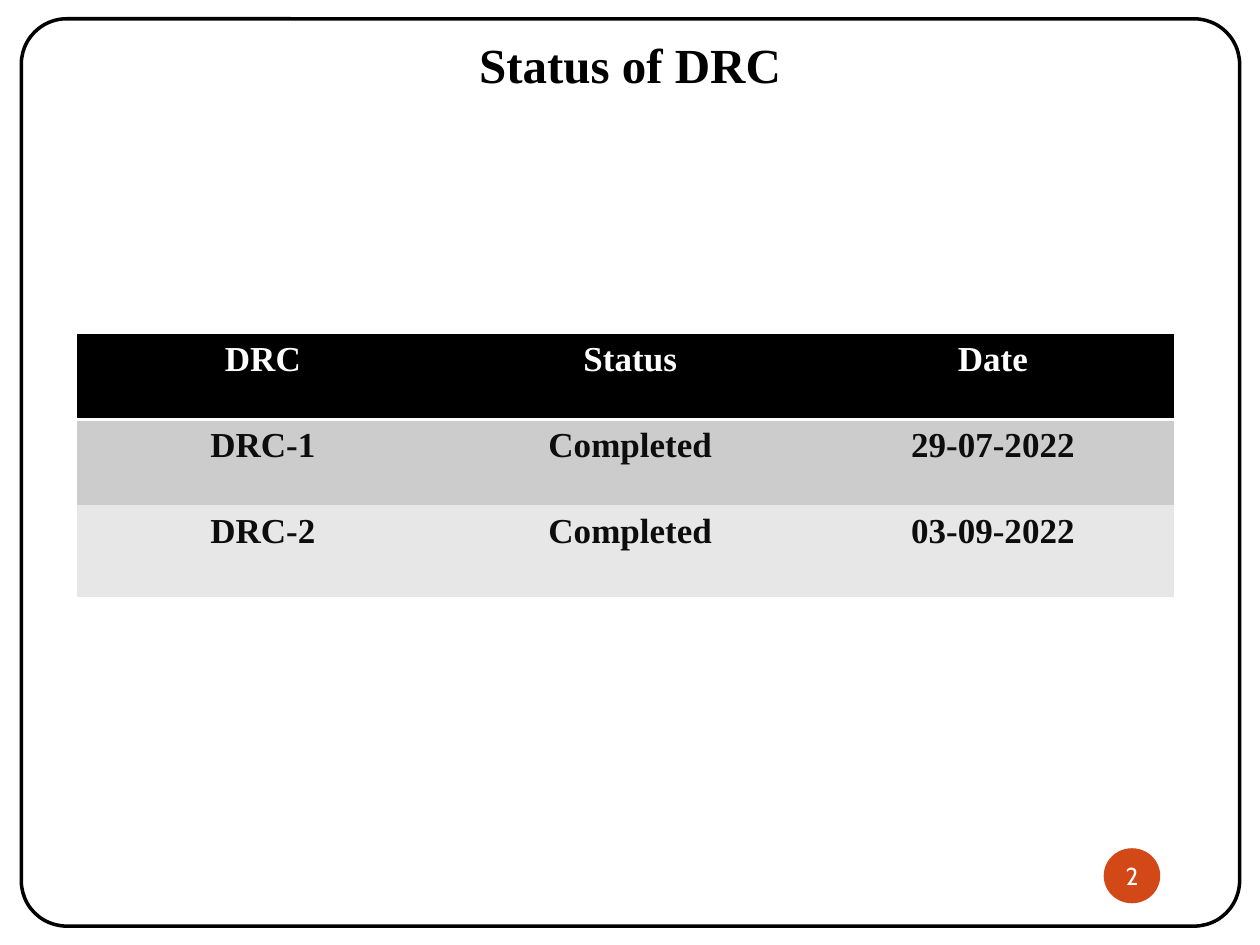
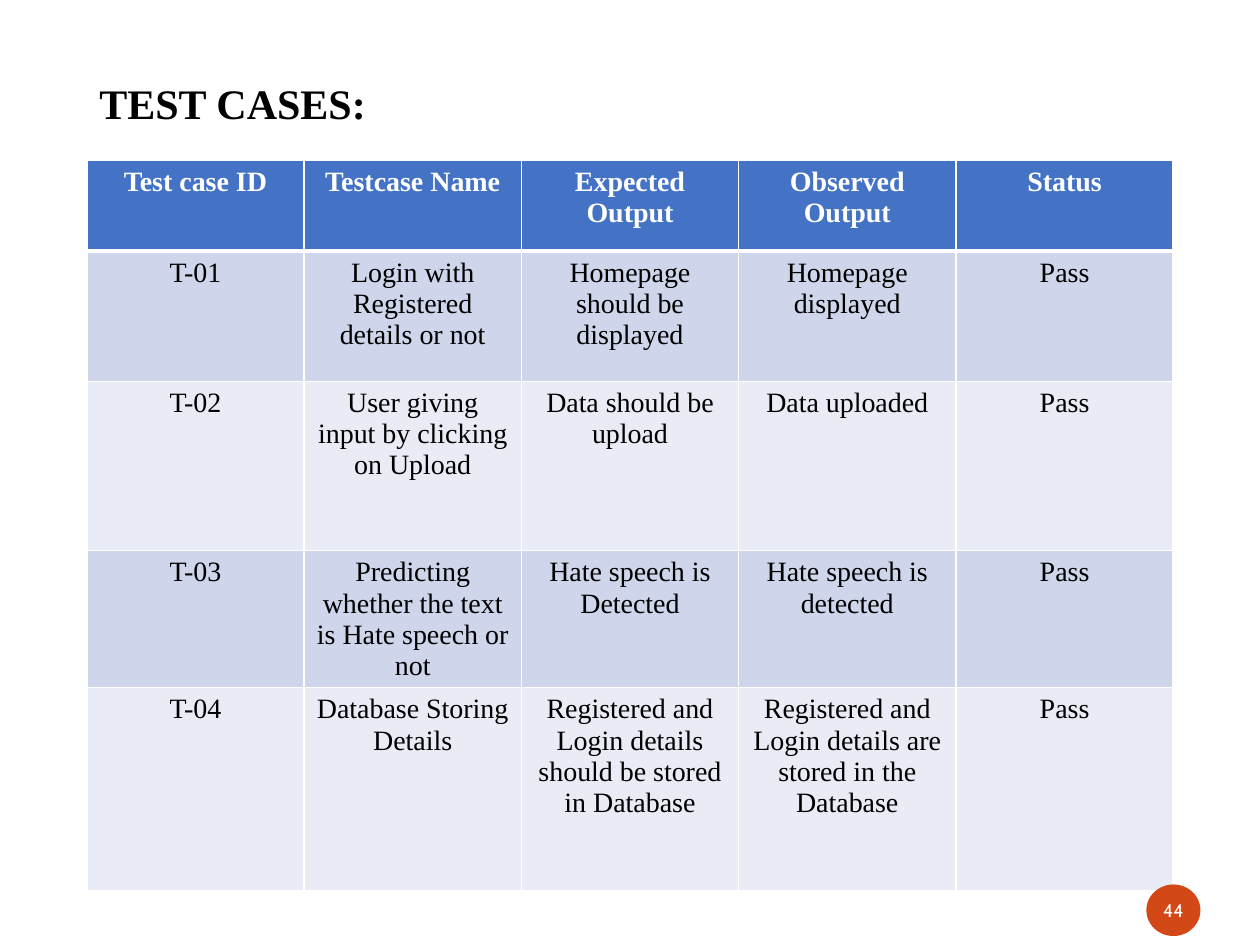
from lxml import etree
from pptx import Presentation
from pptx import util as u
from pptx.dml.color import RGBColor
from pptx.enum import shapes, text
from pptx.oxml.ns import qn

COLORS = {
    "ink": "000000", "soft_ink": "0D0D0D", "white": "FFFFFF", "badge": "D34817",
    "grey_dark": "CCCCCC", "grey_light": "E7E7E7",
    "blue": "4472C4", "blue_dark": "CFD5EA", "blue_light": "E9EBF5",
}
SERIF, SANS = "Times New Roman", "Cabin"
PLAIN_TABLE = "{2D5ABB26-0587-4C30-8999-92F81FD0307C}"
TITLE_ONLY = 5
CENTER, LEFT = text.PP_ALIGN.CENTER, text.PP_ALIGN.LEFT

STATUS_LOOK = {
    "size": 20, "header": "ink", "bands": ("grey_dark", "grey_light"),
    "body": {"bold": True, "color": "soft_ink"},
    "header_lines": {"B": 2}, "body_lines": {},
}
TEST_LOOK = {
    "size": 16, "header": "blue", "bands": ("blue_dark", "blue_light"),
    "body": {"bold": False, "color": "ink"},
    "header_lines": {"L": 1, "R": 1, "T": 1, "B": 3},
    "body_lines": {"L": 1, "R": 1, "B": 1},
}

DRC_ROWS = [
    ["DRC", "Status", "Date"],
    ["DRC-1", "Completed", "29-07-2022"],
    ["DRC-2", "Completed", "03-09-2022"],
]
TEST_ROWS = [
    ["Test case ID", "Testcase Name", "Expected Output", "Observed Output", "Status"],
    ["T-01", "Login with Registered details or not",
     "Homepage\nshould be displayed", "Homepage\ndisplayed", "Pass"],
    ["T-02", "User giving input by clicking on Upload",
     "Data should be upload", "Data uploaded", "Pass"],
    ["T-03", "Predicting whether the text is Hate speech or not",
     "Hate speech is\nDetected", "Hate speech is detected", "Pass"],
    ["T-04", "Database Storing Details",
     "Registered and Login details should be stored in Database",
     "Registered and Login details are stored in the Database", "Pass"],
]


def rgb(name):
    return RGBColor.from_string(COLORS[name])


def place(sp, box):
    for name, value in zip(("left", "top", "width", "height"), box):
        setattr(sp, name, u.Cm(value))


def write(tf, words, size, color, align=CENTER, name=SERIF, bold=False, spacing=None):
    tf.text = words
    for p in tf.paragraphs:
        p.alignment = align
        if spacing:
            p.line_spacing = spacing
        for attr, value in {"size": u.Pt(size), "name": name, "bold": bold}.items():
            setattr(p.font, attr, value)
        p.font.color.rgb = rgb(color)


def add_title(s, box, words, size, align):
    sp = s.shapes.title
    place(sp, box)
    tf = sp.text_frame
    for attr, value in {"vertical_anchor": text.MSO_ANCHOR.MIDDLE, "word_wrap": True,
                        "auto_size": text.MSO_AUTO_SIZE.NONE}.items():
        setattr(tf, attr, value)
    write(tf, words, size, "ink", align, bold=True, spacing=0.9)


def add_shape(s, kind, box):
    sp = s.shapes.add_shape(kind, *map(u.Cm, box))
    sp.shadow.inherit = False
    return sp


def add_frame(s, box):
    """Rounded outline around the whole slide."""
    sp = add_shape(s, shapes.MSO_SHAPE.ROUNDED_RECTANGLE, box)
    sp.adjustments[0] = 0.05
    sp.fill.background()
    sp.line.color.rgb = rgb("ink")
    sp.line.width = u.Pt(2)


def add_badge(s, box, number, size):
    """Round slide number."""
    sp = add_shape(s, shapes.MSO_SHAPE.OVAL, box)
    sp.fill.solid()
    sp.fill.fore_color.rgb = rgb("badge")
    sp.line.fill.background()
    tf = sp.text_frame
    for side in ("left", "top", "right", "bottom"):
        setattr(tf, f"margin_{side}", 0)
    tf.vertical_anchor = text.MSO_ANCHOR.MIDDLE
    tf.word_wrap = False
    write(tf, str(number), size, "white", name=SANS)


def add_borders(cell, lines):
    """Draw white cell borders, given as side: points."""
    pr = cell._tc.get_or_add_tcPr()
    for side, points in lines.items():
        ln = etree.SubElement(pr, qn(f"a:ln{side}"), w=str(u.Pt(points)))
        fill = etree.SubElement(ln, qn("a:solidFill"))
        etree.SubElement(fill, qn("a:srgbClr"), val=COLORS["white"])


def add_table(s, box, rows, widths, heights, look):
    tbl = s.shapes.add_table(len(rows), len(widths), *map(u.Cm, box)).table
    tbl._tbl.tblPr.find(qn("a:tableStyleId")).text = PLAIN_TABLE
    for col, width in zip(tbl.columns, widths):
        col.width = u.Cm(width)
    for i, (row, height) in enumerate(zip(rows, heights)):
        tbl.rows[i].height = u.Cm(height)
        header = i == 0
        fill = look["header"] if header else look["bands"][(i - 1) % 2]
        font = {"bold": True, "color": "white"} if header else look["body"]
        for j, words in enumerate(row):
            cell = tbl.cell(i, j)
            add_borders(cell, look["header_lines" if header else "body_lines"])
            cell.fill.solid()
            cell.fill.fore_color.rgb = rgb(fill)
            write(cell.text_frame, words, look["size"], **font)


def status_slide(s):
    add_title(s, (1.75, 0.5, 21.9, 1.73), "Status of DRC", 28, CENTER)
    heights = (1.73, 1.73, 1.84)
    add_table(s, (1.55, 6.73, 22.12, sum(heights)), DRC_ROWS,
              (7.5, 7.31, 7.31), heights, STATUS_LOOK)
    add_frame(s, (0.43, 0.38, 24.56, 18.29))
    add_badge(s, (22.25, 17.1, 1.14, 1.11), 2, 14)


def test_slide(s):
    left, width = 1.75, 21.9
    add_title(s, (left, 1.02, width, 2.21), "TEST CASES:", 24, LEFT)
    heights = (1.83, 2.63, 3.41, 2.76, 4.1)
    columns = len(TEST_ROWS[0])
    add_table(s, (left, 3.23, width, sum(heights)), TEST_ROWS,
              [width / columns] * columns, heights, TEST_LOOK)
    add_badge(s, (23.11, 17.83, 1.09, 1.04), 44, 10.5)


def main():
    prs = Presentation()
    prs.slide_width, prs.slide_height = u.Cm(25.4), u.Cm(19.05)
    for build in (status_slide, test_slide):
        build(prs.slides.add_slide(prs.slide_layouts[TITLE_ONLY]))
    prs.save("out.pptx")


if __name__ == "__main__":
    main()
